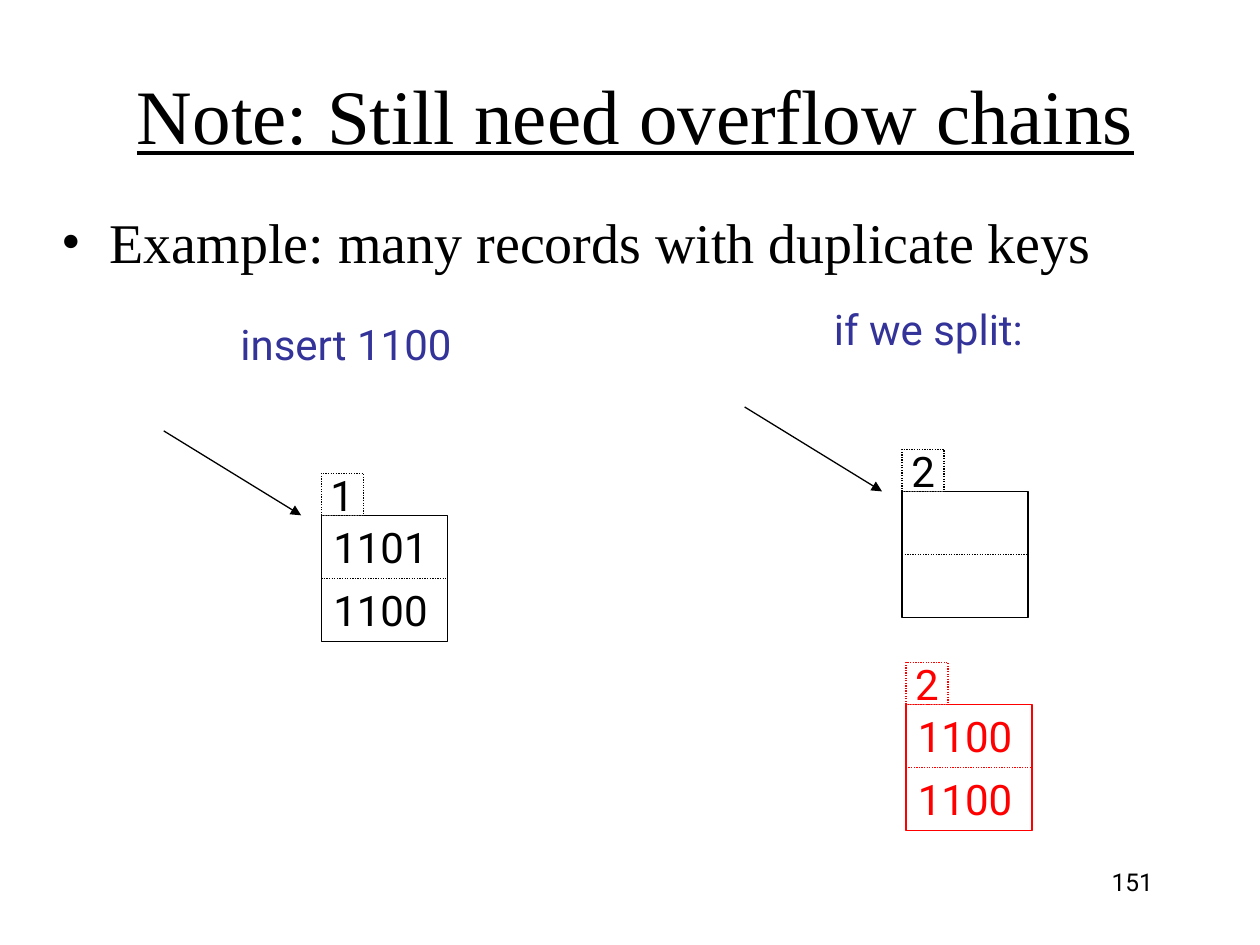
import pptx
import pptx.dml.color
import pptx.enum.dml
import pptx.enum.shapes
import pptx.enum.text
import pptx.oxml.ns
import pptx.util
from lxml import etree

Inches = pptx.util.Inches
ALIGN = pptx.enum.text.PP_ALIGN
ANCHOR = pptx.enum.text.MSO_ANCHOR
BLACK, WHITE, RED, INDIGO = "000000", "FFFFFF", "FF0000", "333399"


def rgb(hex_color):
    """Turn a hex string into a colour."""
    return pptx.dml.color.RGBColor.from_string(hex_color)


def add_element(parent, tag, **attributes):
    """Append a DrawingML element to a parent."""
    return etree.SubElement(parent, pptx.oxml.ns.qn(tag), attributes)


def write(shape, text, size=24, font="Roboto", color=BLACK, align=ALIGN.CENTER,
          anchor=ANCHOR.MIDDLE, wrap=False, underline=None):
    """Put one formatted paragraph into a shape and return it."""
    frame = shape.text_frame
    frame.auto_size = pptx.enum.text.MSO_AUTO_SIZE.NONE
    frame.word_wrap = wrap
    frame.vertical_anchor = anchor
    paragraph = frame.paragraphs[0]
    paragraph.alignment = align
    paragraph.space_before = pptx.util.Pt(0)
    run = paragraph.add_run()
    run.text = text
    run.font.size = pptx.util.Pt(size)
    run.font.name = font
    run.font.color.rgb = rgb(color)
    run.font.underline = underline
    return paragraph


def place(shape, left, top, width, height):
    """Move and size a shape, in inches."""
    shape.left, shape.top = Inches(left), Inches(top)
    shape.width, shape.height = Inches(width), Inches(height)


def add_label(slide, text, left, top, width, height=0.5, **text_format):
    """Add a text box with one formatted paragraph."""
    label = slide.shapes.add_textbox(Inches(left), Inches(top), Inches(width), Inches(height))
    write(label, text, **text_format)


def style_line(line, color, dotted=False):
    """Format an outline or connector line."""
    line.color.rgb = rgb(color)
    line.width = pptx.util.Pt(0.75)
    if dotted:
        line.dash_style = pptx.enum.dml.MSO_LINE.ROUND_DOT


def add_box(slide, left, top, width, height, color, dotted=False):
    """Add a white outlined rectangle."""
    box = slide.shapes.add_shape(pptx.enum.shapes.MSO_SHAPE.RECTANGLE, Inches(left),
                                 Inches(top), Inches(width), Inches(height))
    box.shadow.inherit = False
    box.fill.solid()
    box.fill.fore_color.rgb = rgb(WHITE)
    style_line(box.line, color, dotted)
    return box


def add_line(slide, start, end, color, dotted=False):
    """Add a straight connector without shadow."""
    line = slide.shapes.add_connector(pptx.enum.shapes.MSO_CONNECTOR.STRAIGHT,
                                      *map(Inches, start + end))
    style_line(line.line, color, dotted)
    add_element(line._element.spPr, "a:effectLst")
    return line


def add_bucket(slide, left, top, depth, keys=(), color=BLACK, size=1):
    """Draw a bucket with its depth tag, two slots and keys."""
    tag_size, slot = size / 3, size / 2
    block = add_box(slide, left, top, size, size, color)
    tag = add_box(slide, left, top - tag_size, tag_size, tag_size, color, dotted=True)
    write(tag, depth, color=color)
    middle = top + slot
    divider = add_line(slide, (left, middle), (left + size, middle), color, dotted=True)
    divider.begin_connect(block, 1)
    divider.end_connect(block, 3)
    for index, key in enumerate(keys):
        add_label(slide, key, left - 0.01, top + index * slot, 0.96, slot, color=color)


def add_pointer(slide, left, top):
    """Draw the arrow that leads to the bucket at the given corner."""
    pointer = add_line(slide, (left - 1.25, top - 0.67), (left - 0.16, top), BLACK)
    add_element(pointer.line._get_or_add_ln(), "a:tailEnd", type="triangle")


def add_heading(slide):
    """Fill the title and the bulleted body."""
    title, body = slide.shapes.title, slide.placeholders[1]
    place(title, 0.65, 0.28, 8.79, 1.25)
    write(title, "Note: Still need overflow chains", size=44, font="Times New Roman",
          wrap=True, underline=True)
    place(body, 0.39, 1.6, 9.14, 0.69)
    bullet_item = write(body, "Example: many records with duplicate keys", size=32,
                        font="Times New Roman", align=ALIGN.LEFT, anchor=ANCHOR.TOP, wrap=True)
    properties = bullet_item._p.get_or_add_pPr()
    properties.set("marL", str(Inches(0.38)))
    properties.set("indent", str(Inches(-0.38)))
    add_element(add_element(properties, "a:buClr"), "a:srgbClr", val=BLACK)
    add_element(properties, "a:buFont", typeface="Times New Roman")
    add_element(properties, "a:buChar", char="•")


def add_insert_example(slide, left, top):
    """Draw the full bucket before the split."""
    add_label(slide, "insert 1100", left - 0.74, top - 1.61, 1.94, color=INDIGO,
              align=ALIGN.LEFT, anchor=ANCHOR.TOP)
    add_bucket(slide, left, top, "1", ("1101", "1100"))
    add_pointer(slide, left, top)


def add_split_example(slide, left, top):
    """Draw the two buckets after the split."""
    add_label(slide, "if we split:", left - 0.64, top - 1.54, 1.77, color=INDIGO,
              align=ALIGN.LEFT, anchor=ANCHOR.TOP)
    add_bucket(slide, left, top, "2")
    add_pointer(slide, left, top)
    add_bucket(slide, left + 0.03, top + 1.69, "2", ("1100", "1100"), RED)


def main():
    """Build and save the slide."""
    presentation = pptx.Presentation()
    presentation.slide_width, presentation.slide_height = Inches(10), Inches(7.5)
    slide = presentation.slides.add_slide(presentation.slide_layouts[1])
    add_heading(slide)
    add_insert_example(slide, 2.55, 4.09)
    add_split_example(slide, 7.16, 3.9)
    add_label(slide, "151", 7.17, 6.83, 2.08, size=14, align=ALIGN.RIGHT,
              anchor=ANCHOR.TOP, wrap=True)
    presentation.save("out.pptx")


if __name__ == "__main__":
    main()
